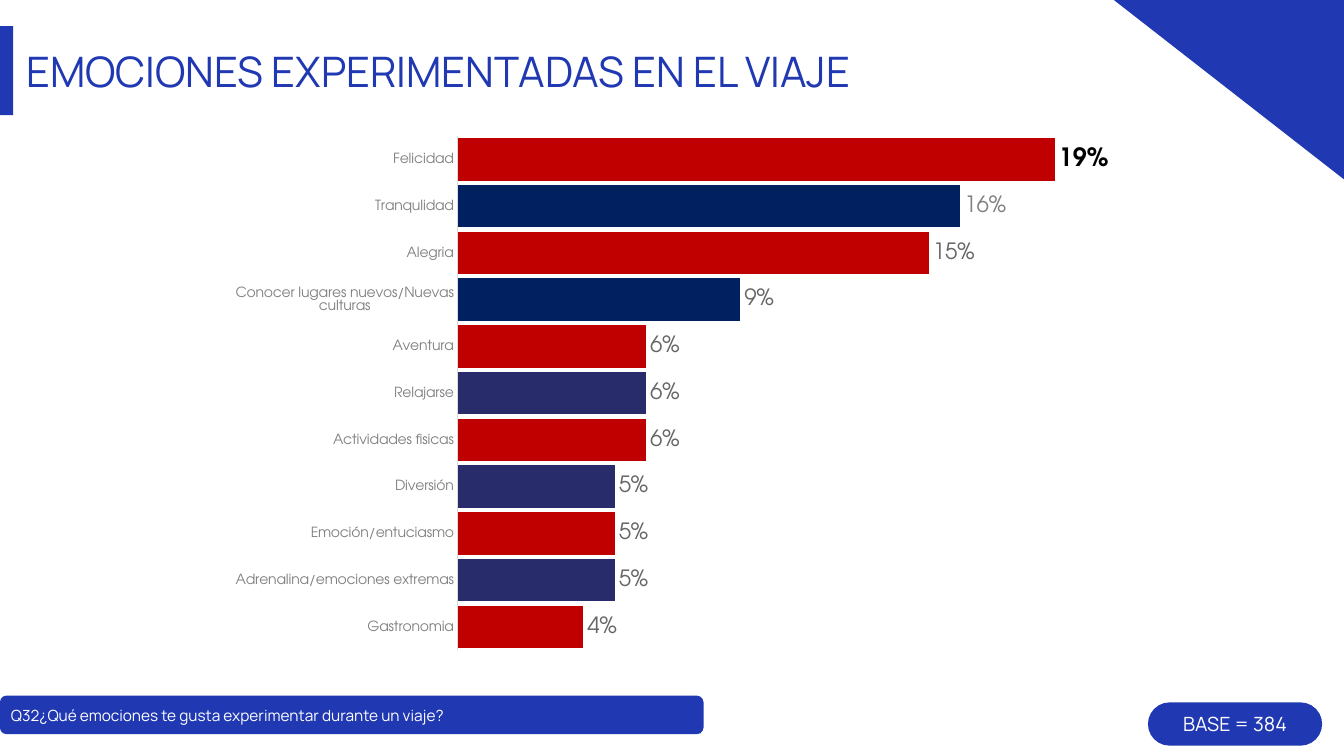
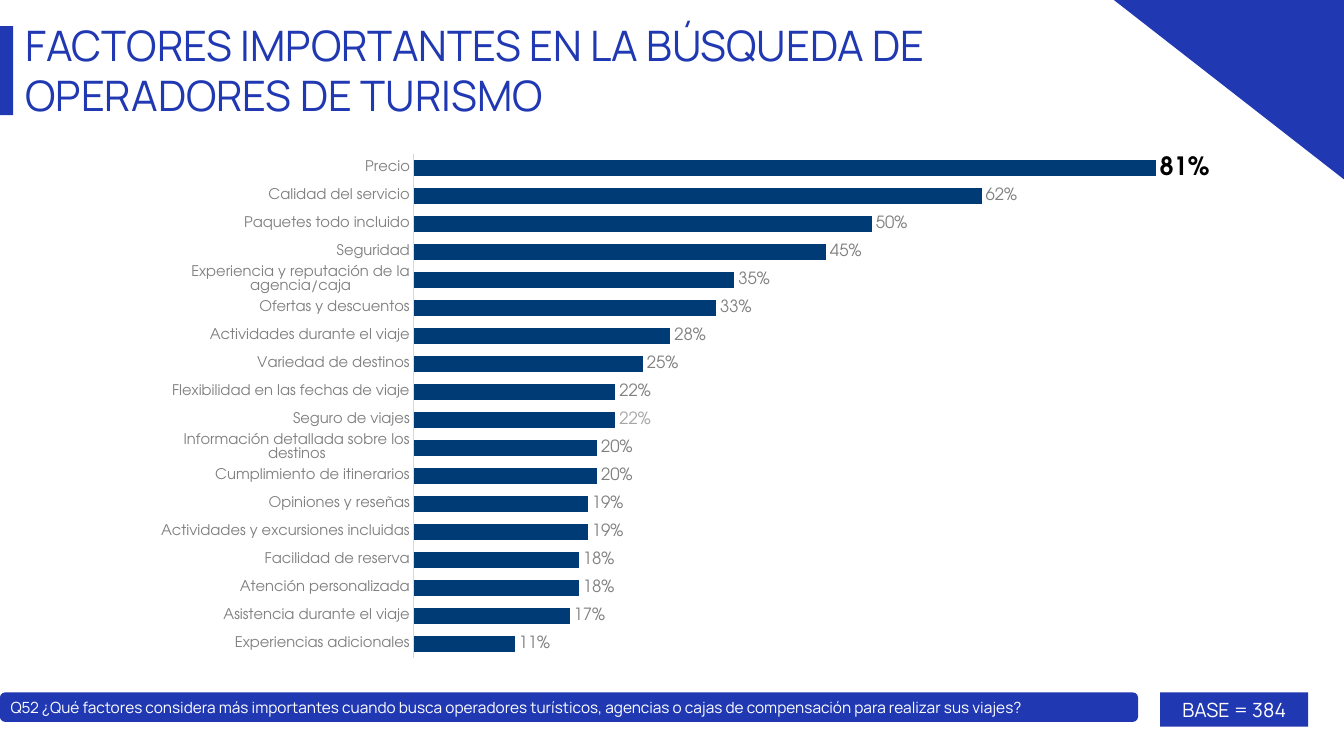
from dataclasses import dataclass, field

from lxml.etree import SubElement
from pptx import Presentation
from pptx.chart.chart import Chart
from pptx.chart.data import CategoryChartData
from pptx.dml.color import RGBColor
from pptx.enum.chart import XL_CHART_TYPE as ChartType
from pptx.enum.chart import XL_LABEL_POSITION as LabelPosition
from pptx.enum.chart import XL_TICK_LABEL_POSITION as TickLabels
from pptx.enum.chart import XL_TICK_MARK as TickMark
from pptx.enum.shapes import MSO_SHAPE as Preset
from pptx.enum.text import MSO_ANCHOR as Anchor
from pptx.enum.text import PP_ALIGN as Align
from pptx.oxml.ns import qn
from pptx.slide import Slide
from pptx.util import Cm, Pt

COLORS = {
    "brand": "2038B2",
    "white": "FFFFFF",
    "black": "000000",
    "red": "C00000",
    "navy": "002060",
    "indigo": "282C6A",
    "blue": "003B75",
    "dark_gray": "666666",
    "gray": "808080",
    "silver": "A6A6A6",
    "axis": "D9D9D9",
}
TEXT_FONT = "Manrope"
CHART_FONT = "TeX Gyre Adventor"
WIDTH, HEIGHT = 33.87, 19.05


@dataclass
class Box:
    left: float
    top: float
    width: float
    height: float

    def lengths(self) -> tuple:
        return Cm(self.left), Cm(self.top), Cm(self.width), Cm(self.height)


@dataclass
class Label:
    size: float
    color: str
    bold: bool = False


@dataclass
class BarChart:
    box: Box
    plot: Box
    bars: list[tuple[str, float]]
    color: str
    maximum: float
    gap: int
    category_size: float
    label: Label
    overlap: int = 0
    point_colors: dict[int, str] = field(default_factory=dict)
    point_labels: dict[int, Label] = field(default_factory=dict)


@dataclass
class Badge:
    box: Box
    text: str
    preset: Preset
    size: float
    align: Align
    corner: float | None = None


@dataclass
class Page:
    title: str
    title_box: Box
    chart: BarChart
    question: Badge
    base: Badge


def rgb(name: str) -> RGBColor:
    return RGBColor.from_string(COLORS[name])


def style_font(font, name: str, size: float, color: str, bold: bool = False) -> None:
    font.name = name
    font.size = Pt(size)
    font.bold = bold
    font.color.rgb = rgb(color)


def paint(shape) -> None:
    shape.shadow.inherit = False
    shape.fill.solid()
    shape.fill.fore_color.rgb = rgb("brand")
    shape.line.fill.background()


def add_decoration(slide: Slide) -> None:
    builder = slide.shapes.build_freeform(Cm(WIDTH), Cm(0), scale=1.0)
    builder.add_line_segments([(Cm(28.07), Cm(0)), (Cm(WIDTH), Cm(4.52))], close=True)
    paint(builder.convert_to_shape())
    paint(slide.shapes.add_shape(Preset.RECTANGLE, *Box(0, 0.66, 0.33, 2.24).lengths()))


def add_title(slide: Slide, text: str, box: Box) -> None:
    frame = slide.shapes.add_textbox(*box.lengths()).text_frame
    frame.word_wrap = True
    frame.margin_left = frame.margin_right = frame.margin_bottom = 0
    frame.margin_top = Cm(0.03)
    paragraph = frame.paragraphs[0]
    paragraph.text = text
    style_font(paragraph.font, TEXT_FONT, 30, "brand")


def add_badge(slide: Slide, badge: Badge) -> None:
    shape = slide.shapes.add_shape(badge.preset, *badge.box.lengths())
    paint(shape)
    if badge.corner is not None:
        shape.adjustments[0] = badge.corner
    frame = shape.text_frame
    frame.word_wrap = True
    frame.vertical_anchor = Anchor.MIDDLE
    frame.margin_left = frame.margin_right = Cm(0.23)
    frame.margin_top = frame.margin_bottom = 0
    paragraph = frame.paragraphs[0]
    paragraph.text = badge.text
    paragraph.alignment = badge.align
    style_font(paragraph.font, TEXT_FONT, badge.size, "white")


def place_plot(chart: Chart, plot: Box) -> None:
    area = chart.element.xpath("c:chart/c:plotArea")[0]
    for old_layout in area.xpath("c:layout"):
        area.remove(old_layout)
    layout = SubElement(area, qn("c:layout"))
    area.insert(0, layout)
    manual = SubElement(layout, qn("c:manualLayout"))
    settings = {
        "layoutTarget": "inner", "xMode": "edge", "yMode": "edge",
        "x": plot.left, "y": plot.top, "w": plot.width, "h": plot.height,
    }
    for tag, value in settings.items():
        SubElement(manual, qn(f"c:{tag}")).set("val", str(value))


def style_axes(chart: Chart, design: BarChart) -> None:
    categories = chart.category_axis
    categories.reverse_order = True
    categories.format.line.color.rgb = rgb("axis")
    categories.format.line.width = Pt(0.75)
    style_font(categories.tick_labels.font, CHART_FONT, design.category_size, "gray")
    values = chart.value_axis
    values.minimum_scale = 0
    values.maximum_scale = design.maximum
    values.tick_label_position = TickLabels.NONE
    values.format.line.fill.background()
    for axis in (categories, values):
        axis.has_major_gridlines = False
        axis.major_tick_mark = axis.minor_tick_mark = TickMark.NONE


def add_bar_chart(slide: Slide, design: BarChart) -> None:
    data = CategoryChartData(number_format="0%")
    data.categories = [name for name, _ in design.bars]
    data.add_series("Series 1", [value for _, value in design.bars])
    frame = slide.shapes.add_chart(ChartType.BAR_CLUSTERED, *design.box.lengths(), data)
    chart = frame.chart
    chart.has_title = chart.has_legend = False
    style_font(chart.font, "Arial", 10, "black")
    place_plot(chart, design.plot)
    style_axes(chart, design)

    plot = chart.plots[0]
    plot.vary_by_categories = False
    plot.gap_width = design.gap
    plot.overlap = design.overlap
    series = plot.series[0]
    series.invert_if_negative = False
    series.format.fill.solid()
    series.format.fill.fore_color.rgb = rgb(design.color)
    for index, color in design.point_colors.items():
        fill = series.points[index].format.fill
        fill.solid()
        fill.fore_color.rgb = rgb(color)

    labels = series.data_labels
    labels.show_value = True
    labels.number_format = "0%"
    labels.number_format_is_linked = False
    labels.position = LabelPosition.OUTSIDE_END
    style_font(labels.font, CHART_FONT, design.label.size, design.label.color)
    for index, label in design.point_labels.items():
        point_label = series.points[index].data_label
        style_font(point_label.font, CHART_FONT, label.size, label.color, label.bold)
        point_label.position = LabelPosition.OUTSIDE_END


def add_page(presentation, page: Page) -> None:
    slide = presentation.slides.add_slide(presentation.slide_layouts[6])
    add_bar_chart(slide, page.chart)
    add_decoration(slide)
    add_title(slide, page.title, page.title_box)
    add_badge(slide, page.question)
    add_badge(slide, page.base)


EMOTIONS = BarChart(
    box=Box(4.88, 1.93, 23.19, 15.14),
    plot=Box(0.287, 0.099, 0.683, 0.856),
    bars=[
        ("Felicidad", 0.19),
        ("Tranqulidad", 0.16),
        ("Alegria", 0.15),
        ("Conocer lugares nuevos/Nuevas culturas", 0.09),
        ("Aventura", 0.06),
        ("Relajarse", 0.06),
        ("Actividades fisicas", 0.06),
        ("Diversión", 0.05),
        ("Emoción/entuciasmo", 0.05),
        ("Adrenalina/emociones extremas", 0.05),
        ("Gastronomia", 0.04),
    ],
    color="red", maximum=0.2, gap=10, overlap=32, category_size=10,
    label=Label(16, "dark_gray"),
    point_colors={1: "navy", 3: "navy", 5: "indigo", 7: "indigo", 9: "indigo"},
    point_labels={0: Label(18, "black", True), 1: Label(16, "gray")},
)

FACTORS = BarChart(
    box=Box(3.81, 3.38, 28.3, 13.87),
    plot=Box(0.234, 0.036, 0.734, 0.916),
    bars=[
        ("Precio", 0.81),
        ("Calidad del servicio", 0.62),
        ("Paquetes todo incluido", 0.5),
        ("Seguridad", 0.45),
        ("Experiencia y reputación de la agencia/caja", 0.35),
        ("Ofertas y descuentos", 0.33),
        ("Actividades durante el viaje", 0.28),
        ("Variedad de destinos", 0.25),
        ("Flexibilidad en las fechas de viaje", 0.22),
        ("Seguro de viajes", 0.22),
        ("Información detallada sobre los destinos", 0.2),
        ("Cumplimiento de itinerarios", 0.2),
        ("Opiniones y reseñas", 0.19),
        ("Actividades y excursiones incluidas", 0.19),
        ("Facilidad de reserva", 0.18),
        ("Atención personalizada", 0.18),
        ("Asistencia durante el viaje", 0.17),
        ("Experiencias adicionales", 0.11),
    ],
    color="blue", maximum=0.9, gap=70, category_size=10.5,
    label=Label(12, "gray"),
    point_labels={0: Label(18, "black", True), 9: Label(12, "silver")},
)

PAGES = [
    Page(
        "EMOCIONES EXPERIMENTADAS EN EL VIAJE", Box(0.66, 1.12, 27.03, 1.32), EMOTIONS,
        Badge(Box(0, 17.53, 17.73, 0.97),
              "Q32¿Qué emociones te gusta experimentar durante un viaje?",
              Preset.ROUNDED_RECTANGLE, 11, Align.LEFT, 0.17),
        Badge(Box(28.93, 17.7, 4.39, 1.09), "BASE = 384",
              Preset.ROUNDED_RECTANGLE, 14, Align.CENTER, 0.5),
    ),
    Page(
        "FACTORES IMPORTANTES EN LA BÚSQUEDA DE OPERADORES DE TURISMO",
        Box(0.64, 0.46, 27.03, 2.59), FACTORS,
        Badge(Box(0, 17.45, 28.68, 0.74),
              "Q52 ¿Qué factores considera más importantes cuando busca operadores turísticos, "
              "agencias o cajas de compensación para realizar sus viajes?",
              Preset.ROUNDED_RECTANGLE, 11, Align.LEFT, 0.17),
        Badge(Box(29.24, 17.45, 3.73, 0.86), "BASE = 384",
              Preset.RECTANGLE, 14, Align.CENTER),
    ),
]


def main() -> None:
    presentation = Presentation()
    presentation.slide_width = Cm(WIDTH)
    presentation.slide_height = Cm(HEIGHT)
    for page in PAGES:
        add_page(presentation, page)
    presentation.save("out.pptx")


if __name__ == "__main__":
    main()
